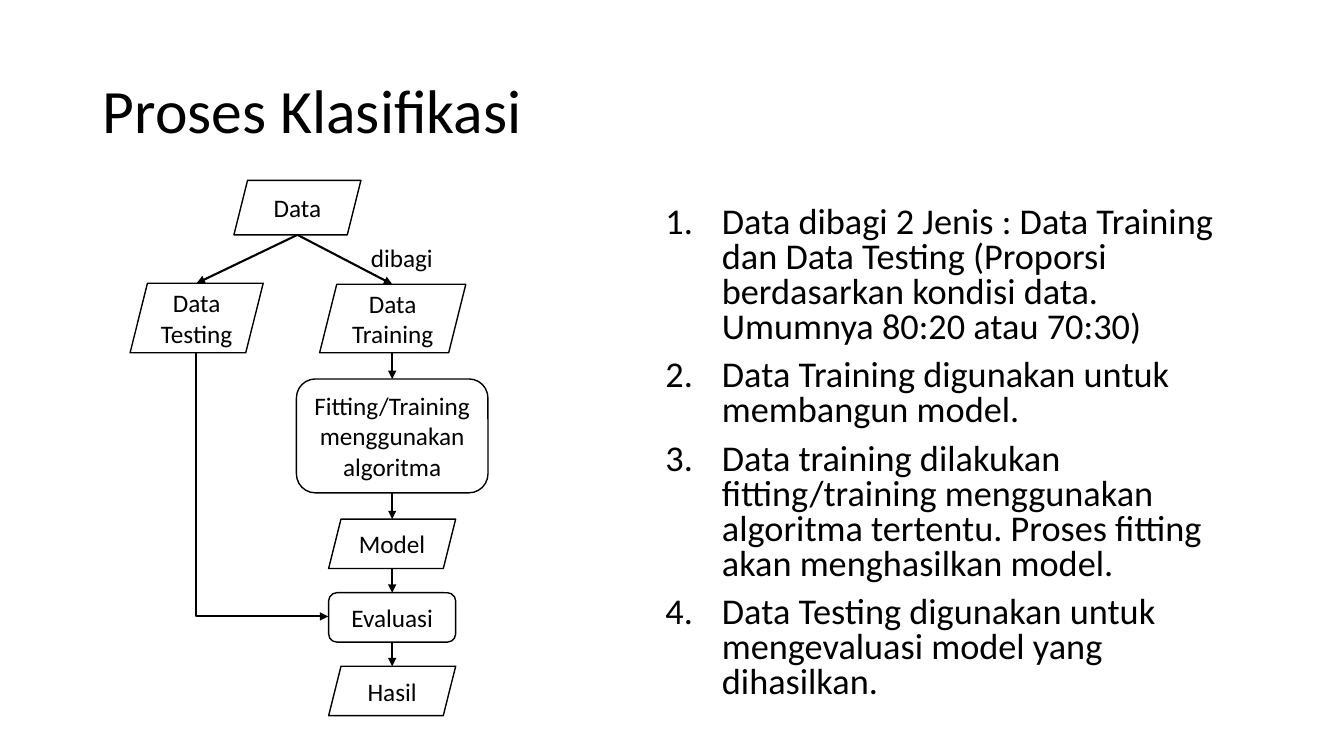
from lxml.etree import SubElement
from pptx import Presentation
from pptx.dml.color import RGBColor
from pptx.enum.shapes import MSO_CONNECTOR, MSO_SHAPE
from pptx.enum.text import MSO_ANCHOR, MSO_AUTO_SIZE, PP_ALIGN
from pptx.oxml.ns import qn
from pptx.util import Pt

PX = 9144  # 100 px to the inch
THEME = {
    "font": "Calibri",
    "ink": RGBColor(0, 0, 0),
    "paper": RGBColor(255, 255, 255),
    "title": Pt(44),
    "list": Pt(25.9),
    "label": Pt(18),
    "edge": Pt(1),
    "arrow": Pt(1.5),
}


def write(para, text, size, align):
    run = para.add_run()
    run.text = text
    run.font.name = THEME["font"]
    run.font.size = THEME[size]
    run.font.color.rgb = THEME["ink"]
    para.alignment = align


def link(kind, x1, y1, x2, y2):
    line = slide.shapes.add_connector(kind, x1 * PX, y1 * PX, x2 * PX, y2 * PX)
    line.line.color.rgb = THEME["ink"]
    line.line.width = THEME["arrow"]
    SubElement(line.line._get_or_add_ln(), qn("a:tailEnd"), type="triangle")
    SubElement(line._element.spPr, qn("a:effectLst"))
    return line


deck = Presentation()
deck.slide_width, deck.slide_height = 1333 * PX, 750 * PX
slide = deck.slides.add_slide(deck.slide_layouts[1])

# Title and list frames
title, body = slide.shapes.title, slide.placeholders[1]
frames = [
    (title, (92, 40, 1150, 145), MSO_ANCHOR.MIDDLE),
    (body, (650, 200, 592, 510), MSO_ANCHOR.TOP),
]
for holder, box, anchor in frames:
    holder.left, holder.top, holder.width, holder.height = [n * PX for n in box]
    frame = holder.text_frame
    frame.word_wrap = True
    frame.auto_size = MSO_AUTO_SIZE.NONE
    frame.vertical_anchor = anchor

head = title.text_frame.paragraphs[0]
head.line_spacing = 0.9
write(head, "Proses Klasifikasi", "title", PP_ALIGN.LEFT)

# Numbered steps
steps = [
    "Data dibagi 2 Jenis : Data Training dan Data Testing (Proporsi berdasarkan kondisi data. Umumnya 80:20 atau 70:30)",
    "Data Training digunakan untuk membangun model.",
    "Data training dilakukan fitting/training menggunakan algoritma tertentu. Proses fitting akan menghasilkan model.",
    "Data Testing digunakan untuk mengevaluasi model yang dihasilkan.",
]
for i, step in enumerate(steps):
    para = body.text_frame.add_paragraph() if i else body.text_frame.paragraphs[0]
    para.line_spacing = 0.8
    para.space_before = Pt(10)
    write(para, step, "list", PP_ALIGN.LEFT)
    props = para._p.get_or_add_pPr()
    props.set("marL", str(56 * PX))
    props.set("indent", str(-56 * PX))
    SubElement(props, qn("a:buFont"), typeface="+mj-lt")
    SubElement(props, qn("a:buAutoNum"), type="arabicPeriod")

# Flowchart nodes
SLANT, ROUND = MSO_SHAPE.PARALLELOGRAM, MSO_SHAPE.ROUNDED_RECTANGLE
nodes = [
    ("Data", SLANT, 232, 179, 126, 54),
    ("Data Testing", SLANT, 129, 281, 132, 69),
    ("Data Training", SLANT, 317, 282, 145, 68),
    ("Fitting/Training menggunakan algoritma", ROUND, 294, 376, 190, 113),
    ("Model", SLANT, 326, 515, 126, 49),
    ("Evaluasi", ROUND, 326, 588, 126, 49),
    ("Hasil", SLANT, 326, 661, 126, 49),
]
for text, kind, *box in nodes:
    node = slide.shapes.add_shape(kind, *[n * PX for n in box])
    node.shadow.inherit = False
    node.fill.solid()
    node.fill.fore_color.rgb = THEME["paper"]
    node.line.color.rgb = THEME["ink"]
    node.line.width = THEME["edge"]
    node.text_frame.word_wrap = True
    node.text_frame.vertical_anchor = MSO_ANCHOR.MIDDLE
    write(node.text_frame.paragraphs[0], text, "label", PP_ALIGN.CENTER)

# Split of the data
for x, y in [(195, 281), (389, 282)]:
    link(MSO_CONNECTOR.STRAIGHT, 295, 233, x, y)

# Arrows down the training column
chain = nodes[2:]
for (*_, top, _, high), (*_, goal, _, _) in zip(chain, chain[1:]):
    link(MSO_CONNECTOR.STRAIGHT, 389, top + high, 389, goal)

# Testing data down and across to the evaluation: a turned, mirrored elbow
bend = link(MSO_CONNECTOR.ELBOW, 129, 415, 391, 546)
bend._element.spPr.find(qn("a:prstGeom")).set("prst", "bentConnector2")
frame = bend._element.spPr.find(qn("a:xfrm"))
frame.set("rot", str(270 * 60000))
frame.set("flipH", "1")

# Label on the split
note = slide.shapes.add_textbox(358 * PX, 236 * PX, 82 * PX, 40 * PX)
note.text_frame.word_wrap = False
note.text_frame.auto_size = MSO_AUTO_SIZE.SHAPE_TO_FIT_TEXT
write(note.text_frame.paragraphs[0], "dibagi", "label", PP_ALIGN.LEFT)

deck.save("out.pptx")
